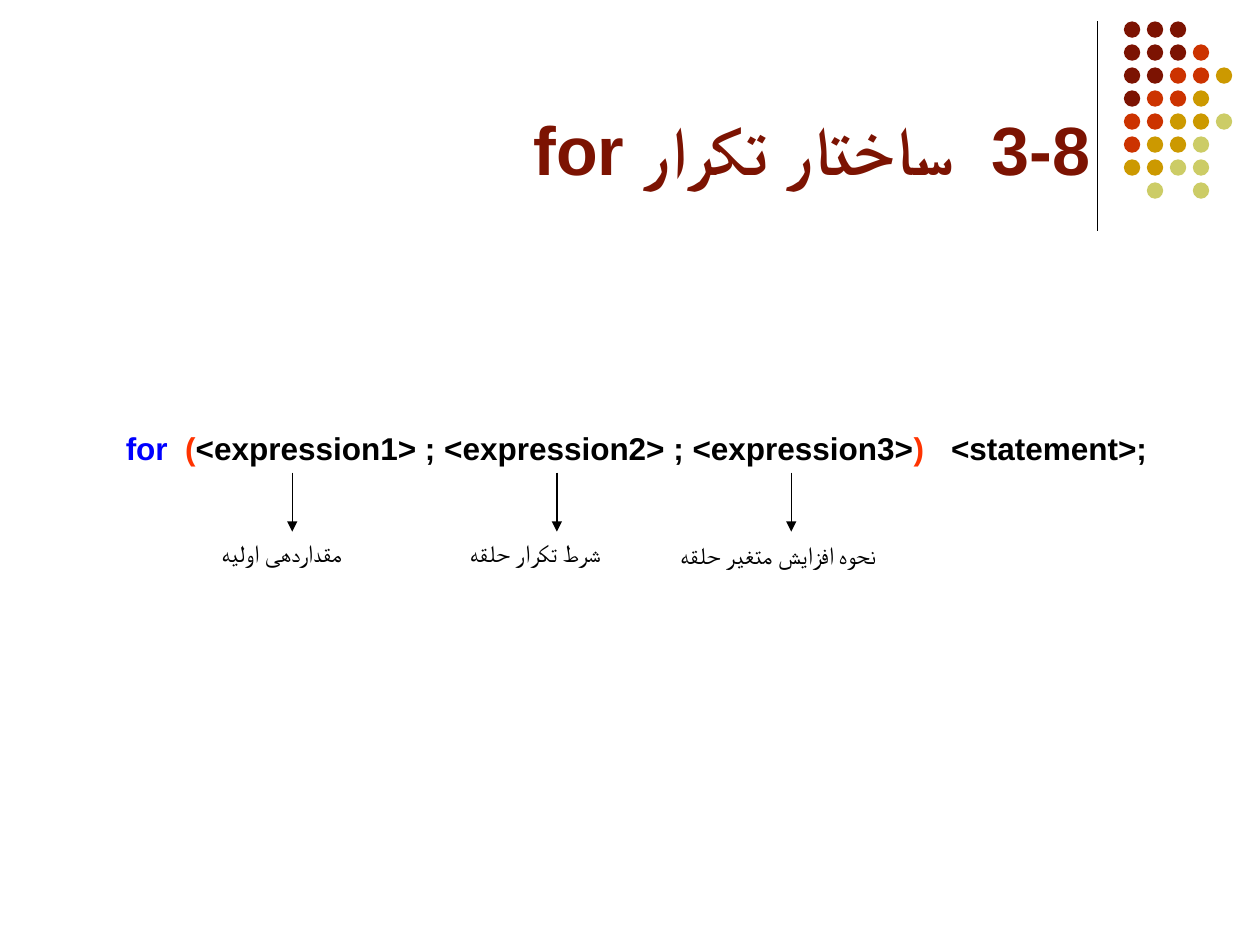
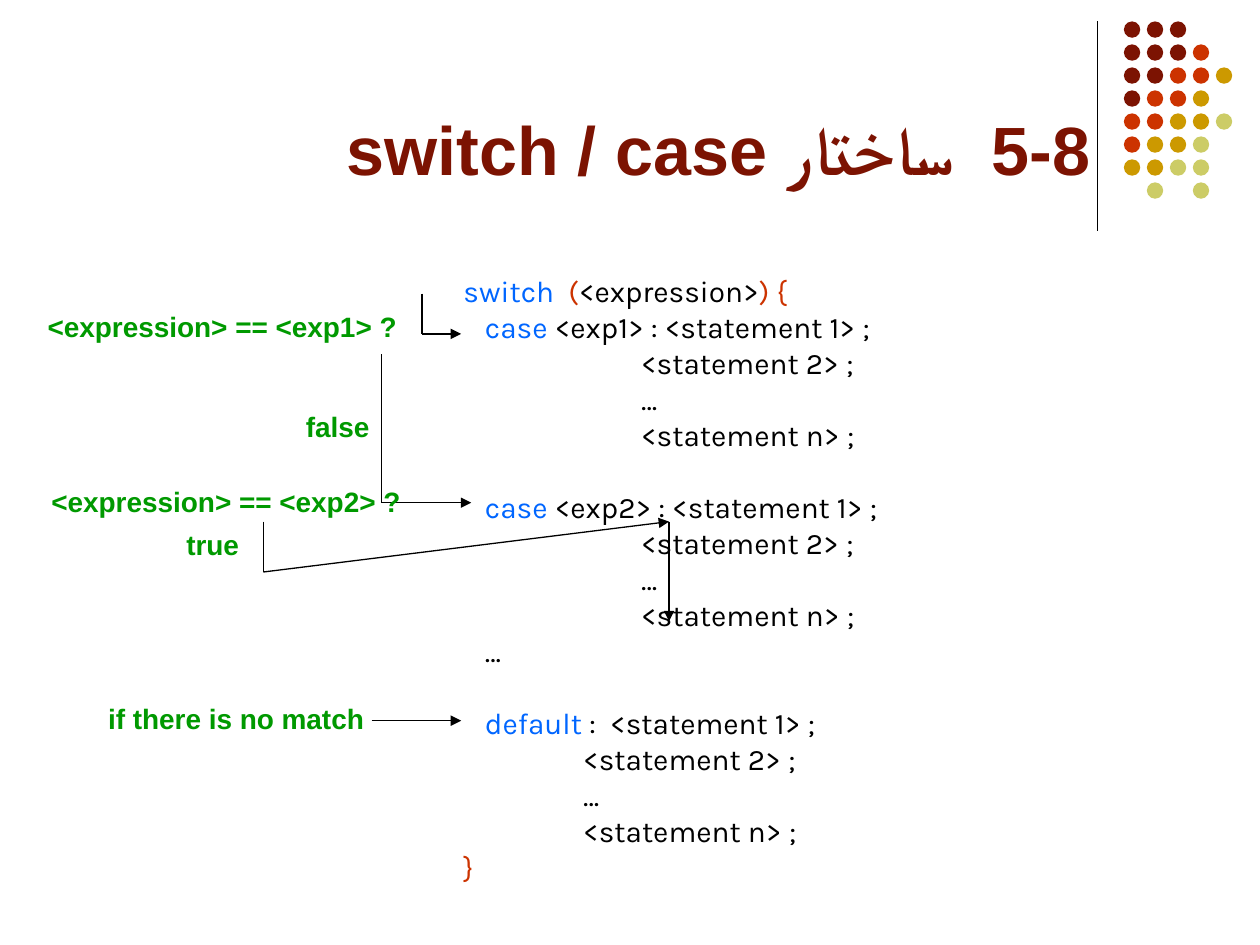
from dataclasses import dataclass
from itertools import pairwise

from lxml.etree import SubElement
from pptx import Presentation
from pptx.dml.color import RGBColor
from pptx.enum.shapes import MSO_CONNECTOR as CONN, MSO_SHAPE as SHAPE
from pptx.enum.text import MSO_ANCHOR as ANCHOR, MSO_AUTO_SIZE as FIT, PP_ALIGN as ALIGN
from pptx.oxml.ns import qn
from pptx.util import Inches, Pt


@dataclass(frozen=True)
class Theme:
    ink: str = "000000"
    maroon: str = "7C1302"
    red: str = "CC3300"
    gold: str = "CC9900"
    lime: str = "CCCC66"
    keyword: str = "0000FF"
    paren: str = "FF3300"
    code_keyword: str = "0066FF"
    note: str = "009900"
    head_font: str = "Arial"
    body_font: str = "Karla"
    title_size: float = 39
    syntax_size: float = 18
    code_size: float = 17
    note_size: float = 16
    label_size: float = 14
    line_width: float = 0.75


T = Theme()
DOT_COLORS = {"M": T.maroon, "R": T.red, "G": T.gold, "L": T.lime}
DOT_ROWS = ["MMM", "MMMR", "MMRRG", "MRRG", "RRGGL", "RGGL", "GGLL", " L L"]
DOT_LEFT, DOT_TOP, DOT_SIZE, DOT_STEP = 8.92, 0.17, 0.13, 0.73 / 4
TITLE_BOX = (0.5, 0.13, 8.25, 1.42)

FOR_TITLE = "3-8  ساختار تكرار for"
FOR_SYNTAX = [
    ("for ", T.keyword),
    (" (", T.paren),
    ("<expression1> ; <expression2> ; <expression3>", T.ink),
    (")", T.paren),
    ("\t<statement>;", T.ink),
]
FOR_BOX, STATEMENT_TAB = (0.9, 3.36, 8.5, 0.4), 6.55
ARROW_TOP, ARROW_BOTTOM = 3.75, 4.22
FOR_PARTS = [
    ("مقداردهی اولیه", 2.32, (1.66, 4.22, 1.44, 0.34)),
    ("شرط تکرار حلقه", 4.42, (3.63, 4.22, 1.58, 0.34)),
    ("نحوه افزایش متغیر حلقه", 6.28, (5.3, 4.24, 2.19, 0.34)),
]

SWITCH_TITLE = "5-8  ساختار switch / case"
CODE_BOX = (3.58, 2.17, 4.25, 4.96)
CODE_LINE, CODE_GAP = 16.4, 4.2
CASE_INDENT, CASE_BODY, DEFAULT_BODY = 0.17, 1.41, 0.95
BODY_LINES = ["<statement 2> ;", "…", "<statement n> ;"]


def body(indent):
    return [(indent, 0, [(line, T.ink)]) for line in BODY_LINES]


def branch(word, rest, indent, skip):
    head = [(word, T.code_keyword), (rest, T.ink)]
    return [(CASE_INDENT, skip, head), *body(indent)]


CODE = [
    (0, 0, [("switch  ", T.code_keyword), ("(", T.red), ("<expression>", T.ink), (") {", T.red)]),
    *branch("case", " <exp1> : <statement 1> ;", CASE_BODY, 0),
    *branch("case", " <exp2> : <statement 1> ;", CASE_BODY, 1),
    (CASE_INDENT, 0, [("…", T.ink)]),
    *branch("default", " :  <statement 1> ;", DEFAULT_BODY, 1),
    (0, 0, [("}", T.red)]),
]
NOTES = [
    ("<expression> == <exp1> ?", (0.28, 2.41, 2.97, 0.37)),
    ("false", (2.33, 3.2, 0.76, 0.37)),
    ("<expression> == <exp2> ?", (0.31, 3.8, 2.97, 0.37)),
    ("true", (1.38, 4.14, 0.68, 0.37)),
    ("if there is no match", (0.76, 5.52, 2.23, 0.37)),
]
FLOWS = [
    [(3.35, 2.33), (3.35, 2.65), (3.66, 2.65)],
    [(3.03, 2.81), (3.03, 3.99), (3.74, 3.99)],
    [(2.09, 4.14), (2.09, 4.54), (5.31, 4.14)],
    [(5.31, 4.14), (5.31, 4.93)],
    [(2.95, 5.72), (3.66, 5.72)],
]


def rgb(color):
    return RGBColor.from_string(color)


def apply(target, **values):
    for name, value in values.items():
        setattr(target, name, value)


def add_box(s, box, **frame):
    tf = s.shapes.add_textbox(*map(Inches, box)).text_frame
    apply(tf, **{"word_wrap": True, "auto_size": FIT.NONE, **frame})
    return tf


def add_runs(p, runs, font, size, bold=False):
    for text, color in runs:
        r = p.add_run()
        r.text = text
        apply(r.font, name=font, size=Pt(size), bold=bold)
        r.font.color.rgb = rgb(color)
        SubElement(r.font._element, qn("a:cs"), typeface=font)


def add_label(s, text, box, color, font, size, bold=False):
    tf = add_box(s, box, word_wrap=False, auto_size=FIT.SHAPE_TO_FIT_TEXT)
    add_runs(tf.paragraphs[0], [(text, color)], font, size, bold)


def add_path(s, points, arrow=True):
    for start, end in pairwise(points):
        line = s.shapes.add_connector(CONN.STRAIGHT, *map(Inches, start + end))
        line.line.color.rgb = rgb(T.ink)
        line.line.width = Pt(T.line_width)
        if arrow and end == points[-1]:
            SubElement(line.line._get_or_add_ln(), qn("a:tailEnd"), type="triangle")
        SubElement(line._element.spPr, qn("a:effectLst"))


def add_dots(s):
    for row, codes in enumerate(DOT_ROWS):
        for col, code in enumerate(codes):
            if code == " ":
                continue
            left, top = DOT_LEFT + col * DOT_STEP, DOT_TOP + row * DOT_STEP
            dot = s.shapes.add_shape(SHAPE.OVAL, *map(Inches, (left, top, DOT_SIZE, DOT_SIZE)))
            dot.shadow.inherit = False
            dot.fill.solid()
            dot.fill.fore_color.rgb = rgb(DOT_COLORS[code])
            dot.line.fill.background()


def new_slide(prs, title):
    s = prs.slides.add_slide(prs.slide_layouts[6])
    add_path(s, [(8.71, 0.17), (8.71, 1.83)], arrow=False)
    add_dots(s)
    p = add_box(s, TITLE_BOX, vertical_anchor=ANCHOR.BOTTOM).paragraphs[0]
    p.alignment = ALIGN.RIGHT
    p._p.get_or_add_pPr().set("rtl", "1")
    add_runs(p, [(title, T.maroon)], T.head_font, T.title_size, True)
    return s


def for_slide(prs):
    s = new_slide(prs, FOR_TITLE)
    p = add_box(s, FOR_BOX).paragraphs[0]
    tabs = SubElement(p._p.get_or_add_pPr(), qn("a:tabLst"))
    SubElement(tabs, qn("a:tab"), pos=str(Inches(STATEMENT_TAB)), algn="l")
    add_runs(p, FOR_SYNTAX, T.head_font, T.syntax_size, True)
    for text, x, box in FOR_PARTS:
        add_path(s, [(x, ARROW_TOP), (x, ARROW_BOTTOM)])
        add_label(s, text, box, T.ink, T.body_font, T.label_size)


def switch_slide(prs):
    s = new_slide(prs, SWITCH_TITLE)
    tf = add_box(s, CODE_BOX)
    for i, (indent, skip, runs) in enumerate(CODE):
        p = tf.add_paragraph() if i else tf.paragraphs[0]
        gap = CODE_GAP + skip * (CODE_LINE + CODE_GAP)
        apply(p, line_spacing=Pt(CODE_LINE), space_before=Pt(gap))
        p._p.get_or_add_pPr().set("marL", str(Inches(indent)))
        add_runs(p, runs, T.body_font, T.code_size)
    for points in FLOWS:
        add_path(s, points)
    for text, box in NOTES:
        add_label(s, text, box, T.note, T.head_font, T.note_size, True)


def main():
    prs = Presentation()
    apply(prs, slide_width=Inches(10), slide_height=Inches(7.5))
    for_slide(prs)
    switch_slide(prs)
    prs.save("out.pptx")


if __name__ == "__main__":
    main()
